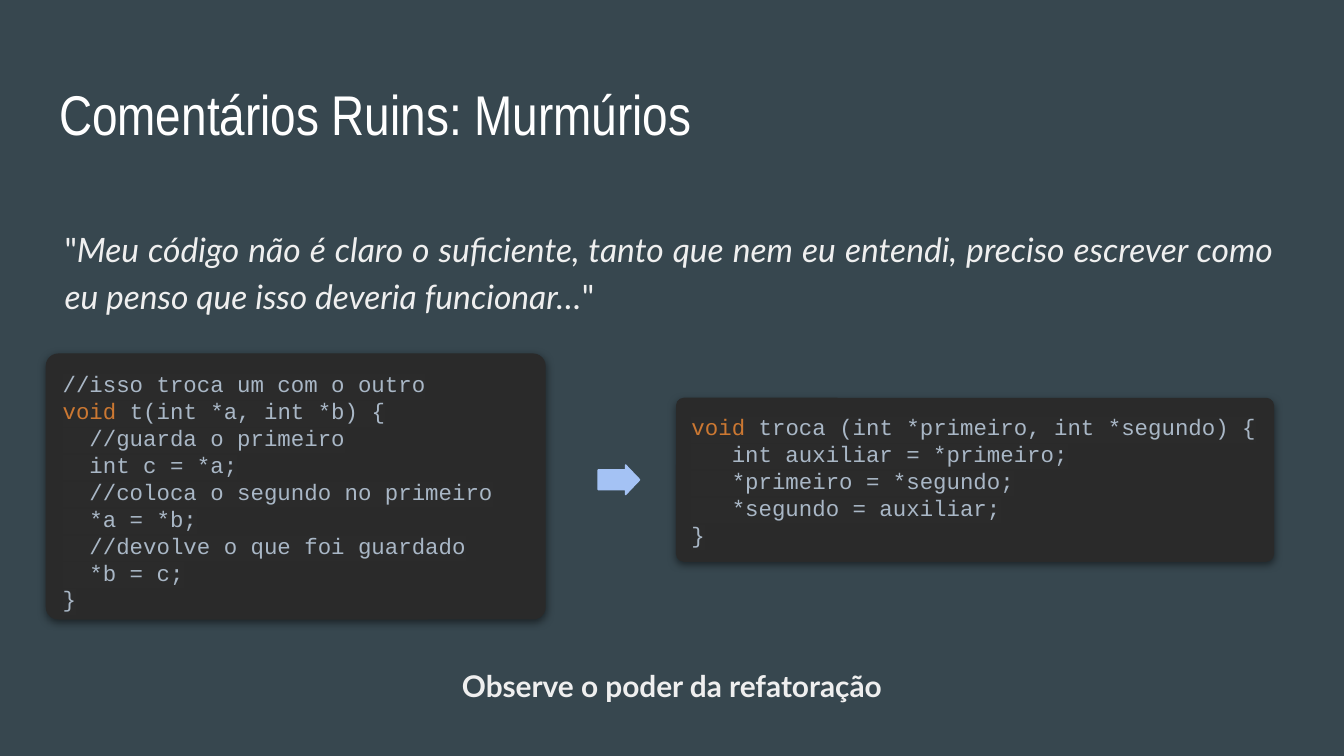
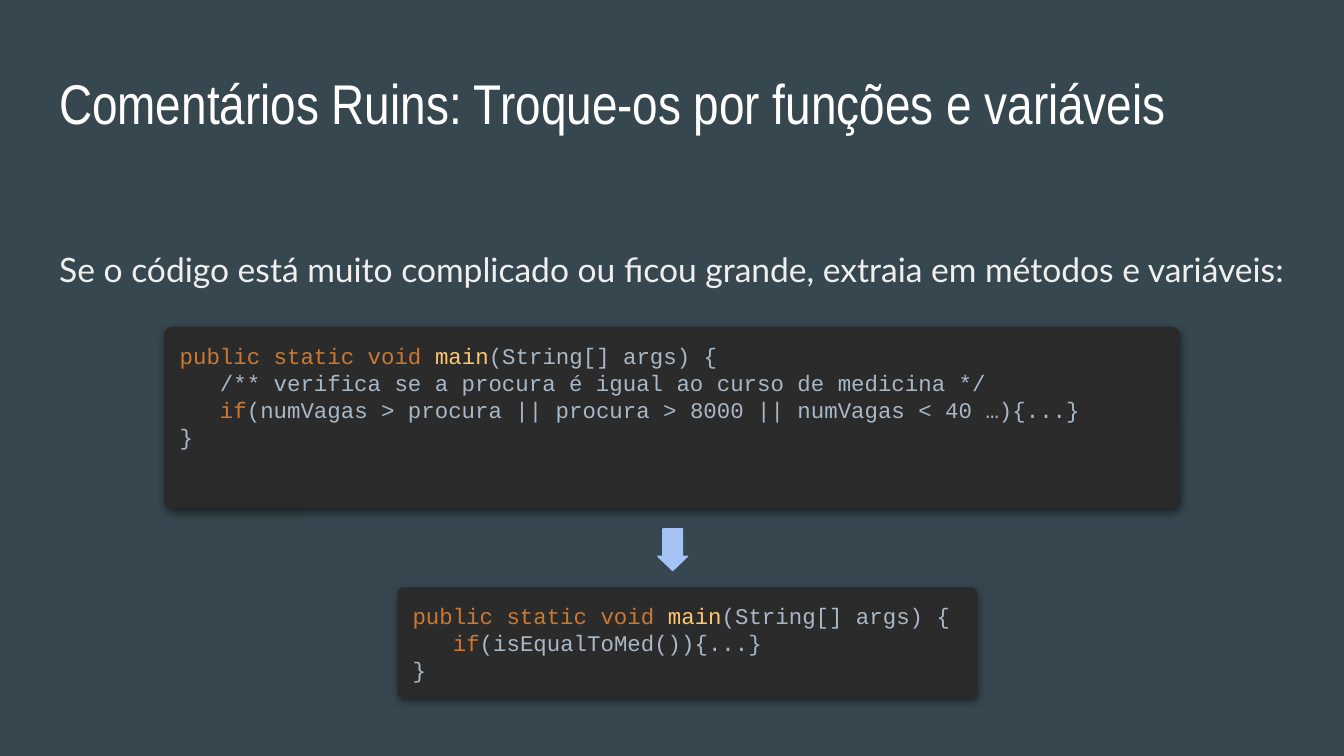
from dataclasses import dataclass

from lxml.etree import SubElement
from pptx import Presentation
from pptx.dml.color import RGBColor
from pptx.enum.shapes import MSO_SHAPE
from pptx.enum.text import MSO_ANCHOR, MSO_AUTO_SIZE, PP_ALIGN
from pptx.oxml.ns import qn
from pptx.util import Inches, Pt


@dataclass(frozen=True)
class Theme:
    background: str = "37474F"
    title: str = "FFFFFF"
    body: str = "EFEFEF"
    panel: str = "2A2A2A"
    highlight: str = "2B2B2B"
    code: str = "A9B7C6"
    keyword: str = "CC7832"
    function: str = "FFC66D"
    arrow: str = "A4C2F4"
    title_font: str = "Arial Narrow"
    body_font: str = "Lato"
    code_font: str = "Courier New"
    title_size: int = 30
    body_size: int = 18
    caption_size: int = 16
    code_size: int = 12
    body_spacing: float = 1.15


THEME = Theme()

# Code listings: each line is a list of (text, colour) runs
MAIN_HEADER = [
    ("public static void ", THEME.keyword),
    ("main", THEME.function),
    ("(String[] args) {", THEME.code),
]


def plain(*lines):
    return [[(line, THEME.code)] for line in lines]


def if_line(rest):
    return [("   ", THEME.code), ("if", THEME.keyword), (rest, THEME.code)]


MUMBLED_SWAP = [
    *plain("//isso troca um com o outro"),
    [("void ", THEME.keyword), ("t(int *a, int *b) {", THEME.code)],
    *plain(
        "  //guarda o primeiro",
        "  int c = *a;",
        "  //coloca o segundo no primeiro",
        "  *a = *b;",
        "  //devolve o que foi guardado",
        "  *b = c;",
        "}",
    ),
]
CLEAR_SWAP = [
    [("void ", THEME.keyword), ("troca (int *primeiro, int *segundo) {", THEME.code)],
    *plain(
        "   int auxiliar = *primeiro;",
        "   *primeiro = *segundo;",
        "   *segundo = auxiliar;",
        "}",
    ),
]
LONG_CONDITION = [
    MAIN_HEADER,
    *plain("   /** verifica se a procura é igual ao curso de medicina */"),
    if_line("(numVagas > procura || procura > 8000 || numVagas < 40 …){...}"),
    *plain("}"),
]
EXTRACTED_CONDITION = [MAIN_HEADER, if_line("(isEqualToMed()){...}"), *plain("}")]


# Shared helpers
def color(value):
    return RGBColor.from_string(value)


def inches(box):
    return [Inches(length) for length in box]


def place(shape, box):
    shape.left, shape.top, shape.width, shape.height = inches(box)


def prepare_frame(shape):
    frame = shape.text_frame
    frame.word_wrap = True
    frame.auto_size = MSO_AUTO_SIZE.NONE
    frame.vertical_anchor = MSO_ANCHOR.TOP
    frame.margin_left = frame.margin_right = Inches(0.1)
    frame.margin_top = frame.margin_bottom = Inches(0.1)
    return frame


def format_para(para, align=PP_ALIGN.LEFT, spacing=1.0, after=0):
    para.alignment = align
    para.line_spacing = spacing
    para.space_before = Pt(0)
    para.space_after = Pt(after)


def add_span(para, text, font, size, fill, bold=False, italic=False):
    span = para.add_run()
    span.text = text
    span.font.size = Pt(size)
    span.font.bold = bold
    span.font.italic = italic
    span.font.color.rgb = color(fill)
    span.font.name = font
    return span


def add_highlight(span):
    properties = span.font._element
    highlight = SubElement(properties, qn("a:highlight"))
    SubElement(highlight, qn("a:srgbClr"), val=THEME.highlight)
    properties.find(qn("a:latin")).addprevious(highlight)


def add_soft_shadow(shape):
    shape.shadow.inherit = False
    effects = shape._element.spPr.find(qn("a:effectLst"))
    shadow = SubElement(
        effects, qn("a:outerShdw"), blurRad=str(Pt(4.5)), dist=str(Pt(1.5)),
        dir="5400000", algn="bl", rotWithShape="0",
    )
    black = SubElement(shadow, qn("a:srgbClr"), val="000000")
    SubElement(black, qn("a:alpha"), val="50000")


# Regions
def fill_title(slide, text, box):
    title = slide.shapes.title
    place(title, box)
    para = prepare_frame(title).paragraphs[0]
    format_para(para)
    add_span(para, text, THEME.title_font, THEME.title_size, THEME.title)


def fill_body(slide, runs, box, align=PP_ALIGN.LEFT):
    """Runs are (text, italic) pairs of one unbulleted paragraph."""
    body = slide.placeholders[1]
    place(body, box)
    para = prepare_frame(body).paragraphs[0]
    format_para(para, align, THEME.body_spacing)
    properties = para._p.get_or_add_pPr()
    properties.set("marL", "0")
    properties.set("indent", "0")
    SubElement(properties, qn("a:buNone"))
    for text, italic in runs:
        add_span(para, text, THEME.body_font, THEME.body_size, THEME.body, italic=italic)


def add_code_panel(slide, lines, box):
    panel = slide.shapes.add_shape(MSO_SHAPE.ROUNDED_RECTANGLE, *inches(box))
    panel.adjustments[0] = 0.047
    panel.fill.solid()
    panel.fill.fore_color.rgb = color(THEME.panel)
    panel.line.fill.background()
    add_soft_shadow(panel)
    frame = prepare_frame(panel)
    for index, line in enumerate(lines):
        para = frame.add_paragraph() if index else frame.paragraphs[0]
        format_para(para)
        for text, fill in line:
            add_highlight(add_span(para, text, THEME.code_font, THEME.code_size, fill))


def add_arrow(slide, left, top, rotation=0):
    arrow = slide.shapes.add_shape(MSO_SHAPE.RIGHT_ARROW, *inches((left, top, 0.31, 0.22)))
    arrow.adjustments[0] = 0.667
    arrow.adjustments[1] = 0.477
    arrow.rotation = rotation
    arrow.shadow.inherit = False
    arrow.fill.solid()
    arrow.fill.fore_color.rgb = color(THEME.arrow)
    arrow.line.color.rgb = color(THEME.arrow)
    arrow.line.width = Pt(0.75)


def add_caption(slide, text, box):
    caption = slide.shapes.add_textbox(*inches(box))
    frame = prepare_frame(caption)
    frame.auto_size = MSO_AUTO_SIZE.SHAPE_TO_FIT_TEXT
    para = frame.paragraphs[0]
    format_para(para, PP_ALIGN.CENTER, THEME.body_spacing, after=16)
    add_span(para, text, THEME.body_font, THEME.caption_size, THEME.body, bold=True)


# Slides
def add_content_slide(deck, title, title_top):
    slide = deck.slides.add_slide(deck.slide_layouts[1])
    slide.background.fill.solid()
    slide.background.fill.fore_color.rgb = color(THEME.background)
    fill_title(slide, title, (0.34, title_top, 9.32, 0.63))
    return slide


def build_mumbling(deck):
    slide = add_content_slide(deck, "Comentários Ruins: Murmúrios", 0.49)
    quote = (
        "Meu código não é claro o suficiente, tanto que nem eu entendi, "
        "preciso escrever como eu penso que isso deveria funcionar…"
    )
    fill_body(
        slide, [('"', False), (quote, True), ('"', False)],
        (0.38, 1.56, 9.2, 0.94), PP_ALIGN.JUSTIFY,
    )
    add_code_panel(slide, MUMBLED_SWAP, (0.34, 2.63, 3.72, 1.98))
    add_code_panel(slide, CLEAR_SWAP, (5.03, 2.96, 4.45, 1.22))
    add_arrow(slide, 4.45, 3.46)
    add_caption(slide, "Observe o poder da refatoração", (3.29, 4.83, 3.42, 0.47))


def build_extraction(deck):
    slide = add_content_slide(
        deck, "Comentários Ruins: Troque-os por funções e variáveis", 0.41
    )
    advice = (
        "Se o código está muito complicado ou ficou grande, "
        "extraia em métodos e variáveis:"
    )
    fill_body(slide, [(advice, False)], (0.34, 1.71, 9.32, 3.19))
    add_code_panel(slide, LONG_CONDITION, (1.22, 2.43, 7.56, 1.35))
    add_code_panel(slide, EXTRACTED_CONDITION, (2.96, 4.37, 4.31, 0.82))
    add_arrow(slide, 4.85, 3.98, rotation=90)


def main():
    deck = Presentation()
    # Widescreen, 16:9
    deck.slide_width = Inches(10)
    deck.slide_height = deck.slide_width * 9 // 16
    build_mumbling(deck)
    build_extraction(deck)
    deck.save("out.pptx")


if __name__ == "__main__":
    main()
